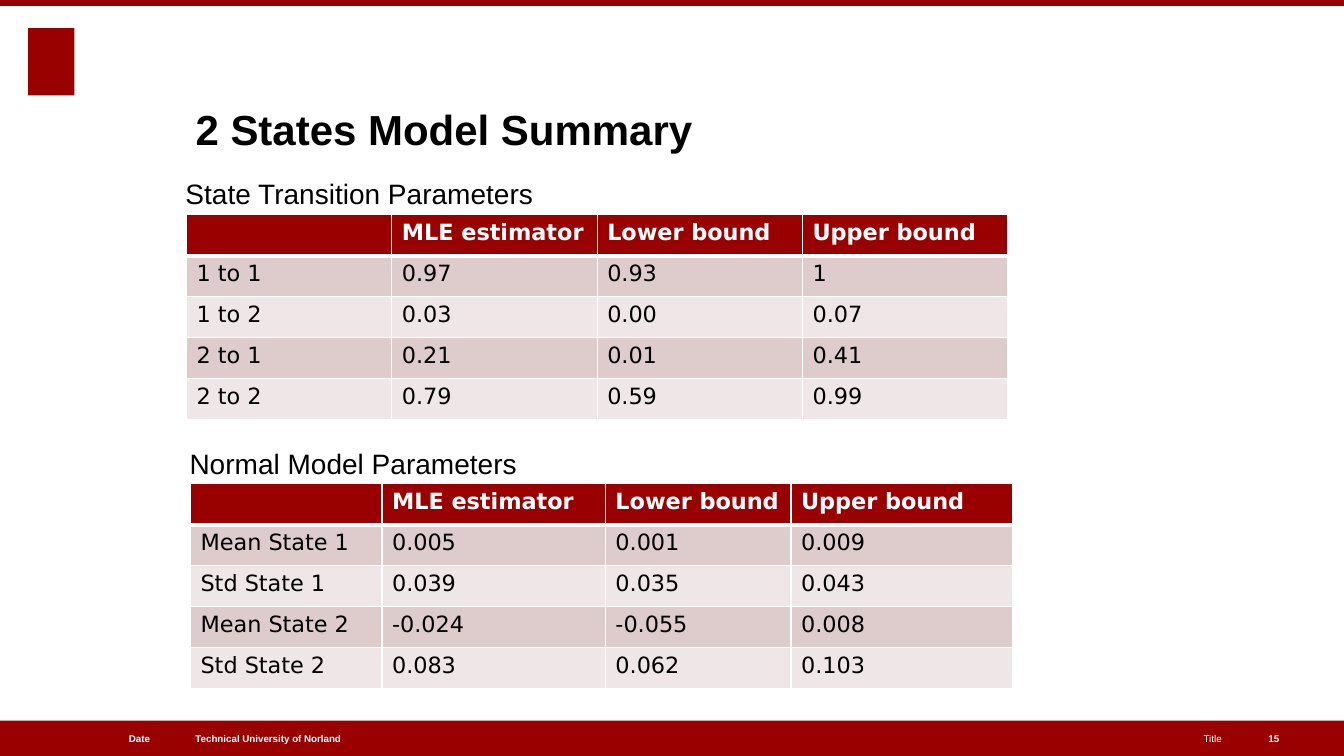
from lxml import etree
from pptx import Presentation, util as u
from pptx.dml.color import RGBColor
from pptx.enum import shapes, text
from pptx.oxml.ns import qn

COLORS = {"brand": "990000", "paper": "FFFFFF", "ink": "000000",
          "band_dark": "DECCCC", "band_light": "EFE7E7"}
COLUMNS, ROWS = 160, 90
SLIDE_WIDTH, SLIDE_HEIGHT = u.Inches(13.33), u.Inches(7.5)
LEFT, CENTER, RIGHT = text.PP_ALIGN.LEFT, text.PP_ALIGN.CENTER, text.PP_ALIGN.RIGHT
TOP, MIDDLE, BOTTOM = text.MSO_ANCHOR.TOP, text.MSO_ANCHOR.MIDDLE, text.MSO_ANCHOR.BOTTOM


class SlideBuilder:
    """Draws styled elements on one slide, placed on a 160 by 90 grid."""

    def __init__(self, slide):
        self.slide = slide
        self.heading_font = "Arial"
        self.table_font = "DejaVu Sans"

    def across(self, columns):
        return round(SLIDE_WIDTH * columns / COLUMNS)

    def down(self, rows):
        return round(SLIDE_HEIGHT * rows / ROWS)

    def place(self, left, top, width, height):
        return self.across(left), self.down(top), self.across(width), self.down(height)

    def run(self, paragraph, words, size, font, color, bold):
        run = paragraph.add_run()
        run.text = words
        run.font.size = u.Pt(size)
        run.font.name = font
        run.font.bold = bold
        run.font.color.rgb = RGBColor.from_string(COLORS[color])

    def bar(self, *spot):
        bar = self.slide.shapes.add_shape(shapes.MSO_SHAPE.RECTANGLE, *self.place(*spot))
        bar.shadow.inherit = False
        bar.fill.solid()
        bar.fill.fore_color.rgb = RGBColor.from_string(COLORS["brand"])
        bar.line.fill.background()

    def label(self, words, spot, size, color="ink", bold=False, align=LEFT, anchor=TOP):
        frame = self.slide.shapes.add_textbox(*self.place(*spot)).text_frame
        frame.word_wrap = True
        frame.vertical_anchor = anchor
        frame.margin_left = frame.margin_right = frame.margin_top = frame.margin_bottom = 0
        frame.paragraphs[0].alignment = align
        self.run(frame.paragraphs[0], words, size, self.heading_font, color, bold)

    def borders(self, cell, bottom):
        properties = cell._tc.get_or_add_tcPr()
        for side, points in (("L", 1), ("R", 1), ("T", 1), ("B", bottom)):
            line = etree.SubElement(properties, qn(f"a:ln{side}"), w=str(u.Pt(points)))
            fill = etree.SubElement(line, qn("a:solidFill"))
            etree.SubElement(fill, qn("a:srgbClr"), val=COLORS["paper"])

    def table(self, left, top, widths, row_height, records):
        spot = self.place(left, top, sum(widths), row_height * len(records))
        table = self.slide.shapes.add_table(len(records), len(widths), *spot).table
        table.horz_banding = False
        for column, width in zip(table.columns, widths):
            column.width = self.across(width)
        for number, record in enumerate(records):
            table.rows[number].height = self.down(row_height)
            header = number == 0
            band = "brand" if header else ("band_light", "band_dark")[number % 2]
            for position, words in enumerate(record):
                cell = table.cell(number, position)
                self.borders(cell, 3 if header else 1)
                cell.fill.solid()
                cell.fill.fore_color.rgb = RGBColor.from_string(COLORS[band])
                if words:
                    self.run(cell.text_frame.paragraphs[0], words, 16, self.table_font,
                             "paper" if header else "ink", header)


HEADER = ("", "MLE estimator", "Lower bound", "Upper bound")
TRANSITIONS = [
    HEADER,
    ("1 to 1", "0.97", "0.93", "1"),
    ("1 to 2", "0.03", "0.00", "0.07"),
    ("2 to 1", "0.21", "0.01", "0.41"),
    ("2 to 2", "0.79", "0.59", "0.99"),
]
NORMAL_MODEL = [
    HEADER,
    ("Mean State 1", "0.005", "0.001", "0.009"),
    ("Std State 1", "0.039", "0.035", "0.043"),
    ("Mean State 2", "-0.024", "-0.055", "0.008"),
    ("Std State 2", "0.083", "0.062", "0.103"),
]
SECTIONS = [
    ("State Transition Parameters", 22.2, 25.56, [24.45] * 4, TRANSITIONS),
    ("Normal Model Parameters", 22.68, 57.6, [22.8, 26.6, 22.1, 26.4], NORMAL_MODEL),
]
FOOTER_TOP, FOOTER_HEIGHT = 85.8, 4.2
FOOTER = [
    ("Technical University of Norland", 23.28, 44.64, True, LEFT),
    ("Date", 3.36, 14.5, True, RIGHT),
    ("Title", 73.32, 72.12, False, RIGHT),
    ("15", 151, 5.64, True, LEFT),
]


def main():
    deck = Presentation()
    deck.slide_width, deck.slide_height = SLIDE_WIDTH, SLIDE_HEIGHT
    page = SlideBuilder(deck.slides.add_slide(deck.slide_layouts[6]))

    page.bar(0, FOOTER_TOP, COLUMNS, FOOTER_HEIGHT)
    page.bar(0, 0, COLUMNS, 0.7)
    page.bar(3.36, 3.36, 5.5, 8)
    page.label("2 States Model Summary", (23.28, 5.64, 122.16, 12.72), 30,
               bold=True, anchor=BOTTOM)
    for heading, left, top, widths, records in SECTIONS:
        page.label(heading, (left - 0.12, top - 4.5, 74, 4.08), 20)
        page.table(left, top, widths, 4.88, records)
    for words, left, width, bold, align in FOOTER:
        page.label(words, (left, FOOTER_TOP, width, FOOTER_HEIGHT), 7, "paper",
                   bold, align, MIDDLE)

    deck.save("out.pptx")


if __name__ == "__main__":
    main()
